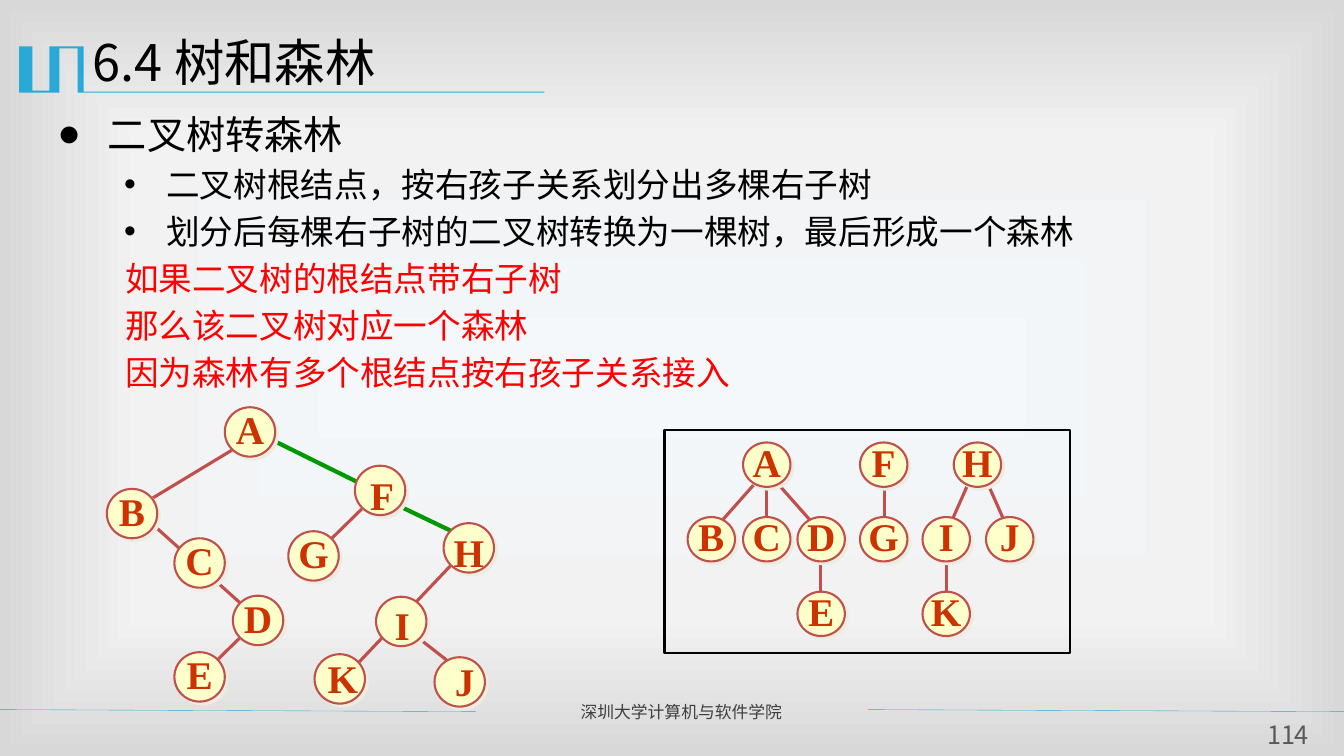
from lxml import etree
from pptx import Presentation
from pptx.dml.color import RGBColor
from pptx.enum.shapes import MSO_CONNECTOR, MSO_SHAPE
from pptx.enum.text import MSO_ANCHOR, MSO_AUTO_SIZE, PP_ALIGN
from pptx.oxml import parse_xml
from pptx.oxml.ns import qn
from pptx.util import Inches, Pt

LINE = MSO_CONNECTOR.STRAIGHT
OVAL, RECT = MSO_SHAPE.OVAL, MSO_SHAPE.RECTANGLE
TOP, MID = MSO_ANCHOR.TOP, MSO_ANCHOR.MIDDLE
LEFT, CENTER = PP_ALIGN.LEFT, PP_ALIGN.CENTER
FIXED = MSO_AUTO_SIZE.NONE
SANS, SERIF = "Noto Sans CJK SC", "Times New Roman"
BLACK = RGBColor(0x00, 0x00, 0x00)
RED = RGBColor(0xFF, 0x00, 0x00)
CYAN = RGBColor(0x28, 0xA9, 0xD6)
DARK = RGBColor(0x3F, 0x3F, 0x3F)
GRAY = RGBColor(0x59, 0x59, 0x59)
GREEN = RGBColor(0x00, 0x99, 0x00)
BRICK = RGBColor(0xC0, 0x50, 0x4D)
CREAM = RGBColor(0xFF, 0xFF, 0xCC)
RUST = RGBColor(0xCC, 0x33, 0x00)
SHADE = RGBColor(0xEE, 0xEC, 0xE1)
STOPS = [(0, "F4F8FB"), (63, "F2F2F2"), (100, "D8D8D8")]

TITLE = "6.4 树和森林"
BODY = [
    ("二叉树转森林", 28, BLACK, "●", 0.5, -0.5),
    ("二叉树根结点，按右孩子关系划分出多棵右子树", 24, BLACK, "•", 1.08, -0.42),
    ("划分后每棵右子树的二叉树转换为一棵树，最后形成一个森林", 24, BLACK, "•", 1.08, -0.42),
    ("如果二叉树的根结点带右子树", 24, RED, None, 0.67, 0),
    ("那么该二叉树对应一个森林", 24, RED, None, 0.67, 0),
    ("因为森林有多个根结点按右孩子关系接入", 24, RED, None, 0.67, 0),
]
FOOT, PAGE = "深圳大学计算机与软件学院", "114"
MARK = [(0.83, 0.46), (0.83, 0.91), (5.4, 0.91), (5.4, 0.92), (0.77, 0.92),
        (0.77, 0.48), (0.59, 0.48), (0.59, 0.92), (0.19, 0.92), (0.19, 0.46),
        (0.32, 0.46), (0.32, 0.9), (0.49, 0.9), (0.49, 0.46)]
RULES = [(0, 7.04, 4.72, 7.06), (8.61, 7.04, 13.33, 7.06)]

BINARY = [("A", 2.23, 4.04), ("B", 1.06, 4.85), ("C", 1.73, 5.34),
          ("D", 2.31, 5.91), ("E", 1.73, 6.47), ("F", 3.52, 4.62),
          ("G", 2.86, 5.27), ("H", 4.4, 5.19), ("I", 3.73, 5.92),
          ("K", 3.12, 6.49), ("J", 4.31, 6.52)]
BRANCH = [(2.48, 6.23, 2.06, 6.64), (1.4, 5.1, 2.48, 6.07),
          (2.31, 4.46, 1.4, 5.01), (4.15, 6.33, 4.56, 6.65),
          (4.48, 5.6, 3.56, 6.57), (3.69, 4.95, 3.19, 5.44)]
RIGHT = [(2.73, 4.38, 3.56, 4.79), (3.98, 5.03, 4.48, 5.27)]
NUDGE = {"F": (0.02, 0.07), "H": (0, 0.07), "I": (0.01, 0.06),
         "K": (0.03, 0.02), "J": (0.05, 0.02)}

ROWS = [
    [("A", 7.37), ("F", 8.53), ("H", 9.46)],
    [("B", 6.82), ("C", 7.37), ("D", 7.91), ("G", 8.53), ("I", 9.15), ("J", 9.78)],
    [("E", 7.91), ("K", 9.15)],
]
ROW_TOP, ROW_STEP = 4.39, 0.74
LINKS = [(9.78, 4.76, 10.01, 5.28), (9.62, 4.76, 9.39, 5.28),
         (7.68, 4.76, 8.07, 5.2), (7.52, 4.76, 7.13, 5.2),
         (9.39, 5.5, 9.39, 5.94), (8.14, 5.5, 8.14, 5.94),
         (8.77, 4.76, 8.77, 5.2), (7.6, 4.76, 7.6, 5.2)]
FRAME = (6.59, 4.27, 4.02, 2.21)


def write(para, text, size=24, color=BLACK, face=SANS, bold=False, align=LEFT):
    para.alignment = align
    run = para.add_run()
    run.text = text
    font = run.font
    font.size, font.bold, font.name = Pt(size), bold, face
    font.color.rgb = color
    etree.SubElement(run.font._element, qn("a:ea"), typeface=face)


def place(shape, *box):
    shape.left, shape.top, shape.width, shape.height = map(Inches, box)
    frame = shape.text_frame
    frame.auto_size, frame.vertical_anchor = FIXED, TOP
    return frame


def indent(para, left, first, mark=None):
    props = para._p.get_or_add_pPr()
    props.set("marL", str(Inches(left)))
    props.set("indent", str(Inches(first)))
    if mark:
        etree.SubElement(props, qn("a:buChar"), char=mark)
    else:
        etree.SubElement(props, qn("a:buNone"))
    para.line_spacing = 1.0


def link(shapes, ends, color=BRICK, width=2.25):
    line = shapes.add_connector(LINE, *map(Inches, ends))
    line.line.color.rgb, line.line.width = color, Pt(width)
    etree.SubElement(line._element.spPr, qn("a:effectLst"))


def node(shapes, name, left, top, wide, high, shift=(0, 0)):
    oval = shapes.add_shape(OVAL, *map(Inches, (left, top, wide, high)))
    oval.fill.solid()
    oval.fill.fore_color.rgb = CREAM
    oval.line.color.rgb, oval.line.width = BRICK, Pt(1.5)
    oval.shadow.inherit = False
    glow = etree.SubElement(oval._element.spPr.find(qn("a:effectLst")),
                            qn("a:outerShdw"), dist=str(Pt(2.8)), dir="2700000")
    etree.SubElement(glow, qn("a:srgbClr"), val=str(SHADE))
    frame = oval.text_frame
    right, down = shift
    frame.margin_left, frame.margin_right = Inches(2 * right), 0
    frame.margin_top, frame.margin_bottom = Inches(2 * down), Inches(0.06)
    frame.word_wrap, frame.vertical_anchor = False, MID
    write(frame.paragraphs[0], name, size=28, color=RUST, face=SERIF, bold=True, align=CENTER)


def shade(slide):
    slide.background.fill.solid()
    solid = next(slide._element.iter(qn("a:solidFill")))
    stops = "".join(f'<a:gs pos="{pos * 1000}"><a:srgbClr val="{tone}"/></a:gs>'
                    for pos, tone in STOPS)
    grad = parse_xml(
        '<a:gradFill xmlns:a="http://schemas.openxmlformats.org/drawingml/2006/main"'
        f' rotWithShape="1"><a:gsLst>{stops}</a:gsLst><a:path path="rect">'
        '<a:fillToRect l="50000" t="50000" r="50000" b="50000"/></a:path></a:gradFill>')
    solid.getparent().replace(solid, grad)


def main():
    """Build the slide on turning a binary tree into a forest."""
    deck = Presentation()
    deck.slide_width, deck.slide_height = Inches(13.33), Inches(7.5)
    slide = deck.slides.add_slide(deck.slide_layouts[1])
    shapes = slide.shapes
    shade(slide)

    pen = shapes.build_freeform(*map(Inches, MARK[0]))
    pen.add_line_segments([tuple(map(Inches, spot)) for spot in MARK[1:]])
    mark = pen.convert_to_shape()
    mark.fill.solid()
    mark.fill.fore_color.rgb = CYAN
    mark.line.fill.background()
    mark.shadow.inherit = False
    for ends in RULES:
        link(shapes, ends, CYAN, 0.25)

    frame = place(shapes.title, 0.82, 0.24, 12, 0.87)
    frame.margin_top = Inches(0.07)
    para = frame.paragraphs[0]
    indent(para, 0, 0)
    write(para, TITLE, size=36)

    frame = place(slide.placeholders[1], 0.47, 1.04, 12.13, 2.25)
    for row, (text, size, color, dot, left, first) in enumerate(BODY):
        para = frame.add_paragraph() if row else frame.paragraphs[0]
        indent(para, left, first, dot)
        para.space_before = Pt(4.8 if row else 0)
        write(para, text, size=size, color=color)

    frame = place(shapes.add_textbox(0, 0, 0, 0), 5.66, 6.91, 2.85, 0.3)
    frame.word_wrap = True
    write(frame.paragraphs[0], FOOT, size=12, color=DARK)
    frame = place(shapes.add_textbox(0, 0, 0, 0), 12.48, 7.13, 0.59, 0.31)
    frame.margin_left = frame.margin_right = frame.margin_top = frame.margin_bottom = 0
    frame.word_wrap, frame.vertical_anchor = True, MID
    write(frame.paragraphs[0], PAGE, size=18, color=GRAY, align=CENTER)

    for ends in BRANCH + LINKS:
        link(shapes, ends)
    for ends in RIGHT:
        link(shapes, ends, GREEN, 3)
    for name, left, top in BINARY:
        node(shapes, name, left, top, 0.5, 0.49, NUDGE.get(name, (0, 0)))
    for row, names in enumerate(ROWS):
        for name, left in names:
            node(shapes, name, left, ROW_TOP + row * ROW_STEP, 0.47, 0.44)

    box = shapes.add_shape(RECT, *map(Inches, FRAME))
    box.fill.background()
    box.line.color.rgb, box.line.width = BLACK, Pt(1.5)
    box.shadow.inherit = False
    deck.save("out.pptx")


if __name__ == "__main__":
    main()
